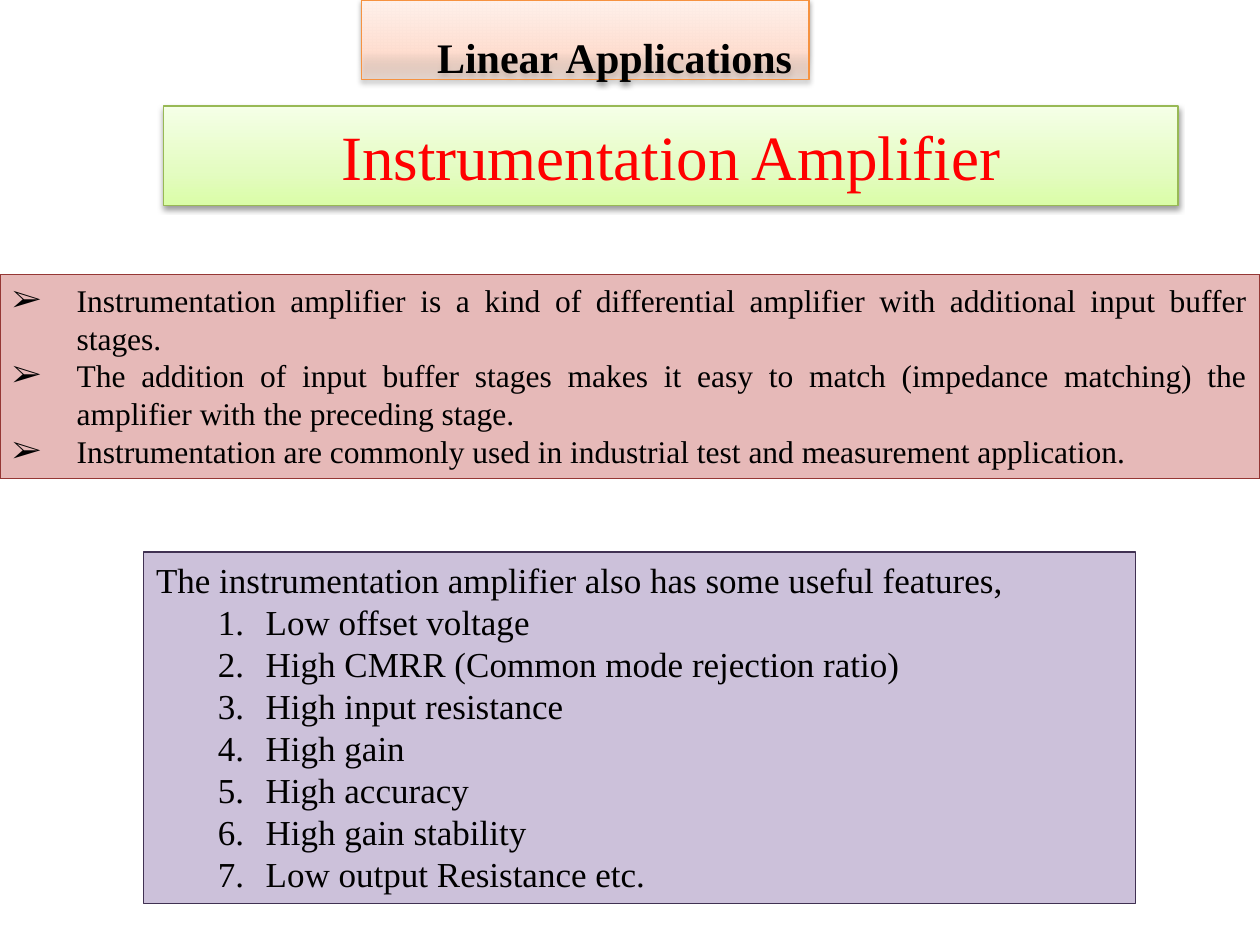
from lxml import etree
from pptx import Presentation
from pptx.dml.color import RGBColor
from pptx.enum.shapes import MSO_SHAPE
from pptx.enum.text import MSO_ANCHOR, PP_ALIGN
from pptx.oxml.ns import qn
from pptx.util import Inches, Pt

RECTANGLE = MSO_SHAPE.RECTANGLE
TOP, MIDDLE = MSO_ANCHOR.TOP, MSO_ANCHOR.MIDDLE
LEFT, CENTER, JUSTIFY = PP_ALIGN.LEFT, PP_ALIGN.CENTER, PP_ALIGN.JUSTIFY
FONT = "Times New Roman"

COLORS = {
    "text": "000000", "title": "FF0000",
    "header line": "F69240", "title line": "98B955",
    "summary": "E6B9B8", "summary line": "953735",
    "features": "CCC1DA", "features line": "403152",
}
# Gradient stops: position and opacity in percent
HEADER_STOPS = [(0, "FFD2BD", 31), (35, "FFDED0", 100), (100, "FFF2ED", 100)]
TITLE_STOPS = [(0, "DAFDA7", 100), (35, "E4FCC2", 100), (100, "F5FFE7", 100)]


def style_box(shape, box, line, fill=None, stops=None):
    """Place and outline a box; gradient boxes also cast a soft shadow."""
    shape.left, shape.top, shape.width, shape.height = map(Inches, box)
    shape.shadow.inherit = False
    shape.line.color.rgb = RGBColor.from_string(COLORS[line])
    shape.line.width = Pt(0.75)
    if fill:
        shape.fill.solid()
        shape.fill.fore_color.rgb = RGBColor.from_string(COLORS[fill])
        return
    shape.fill.gradient()
    shape.fill.gradient_angle = 90
    properties = shape.element.spPr
    stop_list = properties.find(".//" + qn("a:gsLst"))
    for old_stop in list(stop_list):
        stop_list.remove(old_stop)
    shadow = etree.SubElement(properties.find(qn("a:effectLst")), qn("a:outerShdw"),
                              blurRad=str(Pt(3.1)), dist=str(Pt(1.6)),
                              dir="5400000", rotWithShape="0")
    tints = [(shadow, "000000", 38)]
    for position, color, opacity in stops:
        stop = etree.SubElement(stop_list, qn("a:gs"), pos=str(position * 1000))
        tints.append((stop, color, opacity))
    for parent, color, opacity in tints:
        tint = etree.SubElement(parent, qn("a:srgbClr"), val=color)
        if opacity < 100:
            etree.SubElement(tint, qn("a:alpha"), val=str(opacity * 1000))


def add_text(frame, text, size, color="text", bold=False, align=LEFT,
             margin=0, indent=0, bullet=None, spacing=None):
    """Fill the empty first paragraph, or append another one."""
    paragraph = frame.paragraphs[0] if not frame.text else frame.add_paragraph()
    paragraph.alignment = align
    if spacing:
        paragraph.line_spacing = spacing
    properties = paragraph._p.get_or_add_pPr()
    properties.set("marL", str(Inches(margin)))
    properties.set("indent", str(Inches(indent)))
    if bullet:
        etree.SubElement(properties, qn("a:buFont"), typeface=FONT)
        if bullet == "number":
            etree.SubElement(properties, qn("a:buAutoNum"), type="arabicPeriod")
        else:
            etree.SubElement(properties, qn("a:buChar"), char=bullet)
    run = paragraph.add_run()
    run.text = text
    run.font.name = FONT
    run.font.size = Pt(size)
    run.font.bold = bold
    run.font.color.rgb = RGBColor.from_string(COLORS[color])


presentation = Presentation()
presentation.slide_width, presentation.slide_height = Inches(10), Inches(7.5)
slide = presentation.slides.add_slide(presentation.slide_layouts[5])

title = slide.shapes.title
style_box(title, (1.3, 0.84, 8.05, 0.79), "title line", stops=TITLE_STOPS)
title.text_frame.vertical_anchor = MIDDLE
add_text(title.text_frame, "Instrumentation Amplifier", 36, color="title", align=CENTER)

frames = {}
for name, box, style in [
    ("header", (2.87, 0, 3.55, 0.63), {"stops": HEADER_STOPS}),
    ("summary", (0, 2.18, 10, 1.62), {"fill": "summary"}),
    ("features", (1.14, 4.38, 7.87, 2.79), {"fill": "features"}),
]:
    shape = slide.shapes.add_shape(RECTANGLE, *map(Inches, box))
    style_box(shape, box, f"{name} line", **style)
    frame = frames[name] = shape.text_frame
    frame.word_wrap = name != "header"
    frame.vertical_anchor = TOP

add_text(frames["header"], "Linear Applications", 24, bold=True, margin=0.5, spacing=1.5)

for text in [
    "Instrumentation amplifier is a kind of differential amplifier with "
    "additional input buffer stages.",
    "The addition of input buffer stages makes it easy to match (impedance "
    "matching) the amplifier with the preceding stage.",
    "Instrumentation are commonly used in industrial test and measurement application.",
]:
    add_text(frames["summary"], text, 18, align=JUSTIFY,
             margin=0.51, indent=-0.51, bullet="➢")

add_text(frames["features"], "The instrumentation amplifier also has some useful features,",
         20, align=JUSTIFY)
for text in [
    "Low offset voltage",
    "High CMRR (Common mode rejection ratio)",
    "High input resistance",
    "High gain",
    "High accuracy",
    "High gain stability",
    "Low output Resistance etc.",
]:
    add_text(frames["features"], text, 20, align=JUSTIFY,
             margin=0.87, indent=-0.38, bullet="number")

presentation.save("out.pptx")
